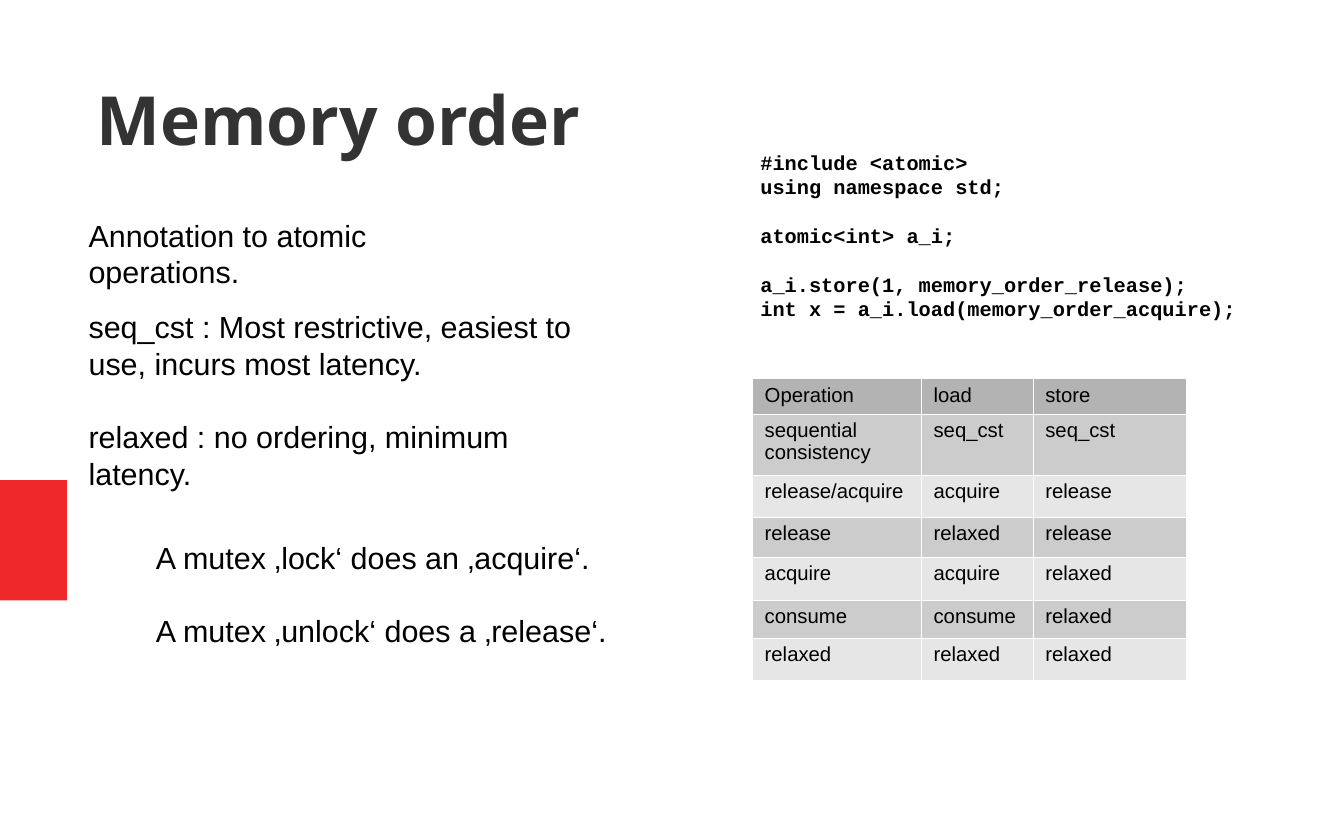
import dataclasses

import pptx
import pptx.dml.color
import pptx.enum.shapes
import pptx.enum.text
import pptx.oxml
import pptx.util

Pt = pptx.util.Pt


@dataclasses.dataclass(frozen=True)
class Theme:
    """Colours, fonts and type sizes of the slide."""
    accent: str = "EF2929"
    heading: str = "333333"
    ink: str = "000000"
    grid: str = "FFFFFF"
    header: str = "B3B3B3"
    bands: tuple = ("CCCCCC", "E6E6E6")
    title_font: str = "Open Sans"
    body_font: str = "Arial"
    code_font: str = "Courier New"
    title_size: float = 40
    body_size: float = 18
    small_size: float = 12
    leading: float = 1.2
    table_leading: float = 1.08
    grid_width: float = 0.06
    inset_x: float = 7.2
    inset_y: float = 3.6


def rgb(colour):
    """Turn a hex string into a colour."""
    return pptx.dml.color.RGBColor.from_string(colour)


class SlideBuilder:
    """Holds the theme and the current slide."""

    def __init__(self, slide, theme):
        """Keep the slide and its theme."""
        self.slide = slide
        self.theme = theme

    def styled_run(self, paragraph, text, font, size, colour, bold=False):
        """Add one styled run to a paragraph."""
        run = paragraph.add_run()
        run.text = text
        run.font.name = font
        run.font.size = Pt(size)
        run.font.bold = bold
        run.font.color.rgb = rgb(colour)

    def frame(self, left, top, width, height, inset_x, inset_y):
        """Add a wrapping text box and return its text frame."""
        frame = self.slide.shapes.add_textbox(
            Pt(left), Pt(top), Pt(width), Pt(height)).text_frame
        frame.word_wrap = True
        frame.margin_left = frame.margin_right = Pt(inset_x)
        frame.margin_top = frame.margin_bottom = Pt(inset_y)
        return frame

    def title(self, text, left, top, width, height):
        """Add the vertically centred heading."""
        theme = self.theme
        frame = self.frame(left, top, width, height, 0, 0)
        frame.vertical_anchor = pptx.enum.text.MSO_ANCHOR.MIDDLE
        self.styled_run(frame.paragraphs[0], text, theme.title_font,
                        theme.title_size, theme.heading, bold=True)

    def text(self, blocks, left, top, width, height, font, size, bold=False):
        """Add blocks of lines, with one line of space between blocks."""
        theme = self.theme
        line_height = Pt(size * theme.leading)
        frame = self.frame(left, top, width, height,
                           theme.inset_x, theme.inset_y)
        paragraph = None
        for block in blocks:
            for index, line in enumerate(block):
                opens_gap = paragraph is not None and index == 0
                paragraph = (frame.paragraphs[0] if paragraph is None
                             else frame.add_paragraph())
                paragraph.line_spacing = line_height
                paragraph.space_before = line_height if opens_gap else Pt(0)
                self.styled_run(paragraph, line, font, size, theme.ink, bold)

    def body(self, lines, left, top, width, height):
        """Add spaced body paragraphs."""
        self.text([[line] for line in lines], left, top, width, height,
                  self.theme.body_font, self.theme.body_size)

    def code(self, blocks, left, top, width, height):
        """Add a bold monospaced listing."""
        self.text(blocks, left, top, width, height,
                  self.theme.code_font, self.theme.small_size, bold=True)

    def bar(self, left, top, width, height):
        """Add a plain accent rectangle."""
        bar = self.slide.shapes.add_shape(
            pptx.enum.shapes.MSO_SHAPE.RECTANGLE,
            Pt(left), Pt(top), Pt(width), Pt(height))
        bar.shadow.inherit = False
        bar.fill.solid()
        bar.fill.fore_color.rgb = rgb(self.theme.accent)
        bar.line.fill.background()

    def borders(self, cell):
        """Draw thin grid lines on all sides of a cell."""
        properties = cell._tc.get_or_add_tcPr()
        for index, side in enumerate(("lnL", "lnR", "lnT", "lnB")):
            properties.insert(index, pptx.oxml.parse_xml(
                f'<a:{side} xmlns:a="http://schemas.openxmlformats.org/'
                f'drawingml/2006/main" w="{Pt(self.theme.grid_width)}">'
                f'<a:solidFill><a:srgbClr val="{self.theme.grid}"/>'
                f'</a:solidFill></a:{side}>'))

    def cell(self, cell, text, fill):
        """Fill one table cell with colour and text."""
        theme = self.theme
        cell.margin_left = cell.margin_right = Pt(theme.inset_x)
        cell.margin_top = cell.margin_bottom = Pt(theme.inset_y)
        cell.fill.solid()
        cell.fill.fore_color.rgb = rgb(fill)
        self.borders(cell)
        paragraph = cell.text_frame.paragraphs[0]
        paragraph.line_spacing = Pt(theme.small_size * theme.table_leading)
        self.styled_run(paragraph, text, theme.body_font,
                        theme.small_size, theme.ink)

    def table(self, rows, left, top, widths, heights):
        """Add a table with a header row and alternating bands."""
        table = self.slide.shapes.add_table(
            len(rows), len(widths), Pt(left), Pt(top),
            Pt(sum(widths)), Pt(sum(heights))).table
        for column, width in zip(table.columns, widths):
            column.width = Pt(width)
        for index, (row, height) in enumerate(zip(rows, heights)):
            table.rows[index].height = Pt(height)
            fill = (self.theme.bands[(index - 1) % 2] if index
                    else self.theme.header)
            for column, text in enumerate(row):
                self.cell(table.cell(index, column), text, fill)


def main():
    """Build and save the memory order slide."""
    presentation = pptx.Presentation()
    presentation.slide_width = Pt(793.5)
    presentation.slide_height = Pt(496)
    slide = presentation.slides.add_slide(presentation.slide_layouts[6])
    builder = SlideBuilder(slide, Theme())

    builder.bar(0, 283.5, 39.5, 71)
    builder.title("Memory order", 57, 22.5, 538.5, 94.5)

    builder.body(["seq_cst : Most restrictive, easiest to use, "
                  "incurs most latency.",
                  "relaxed : no ordering, minimum latency."],
                 45.2, 178.5, 317.5, 150.5)
    builder.body(["Annotation to atomic operations."], 45.2, 124.5, 272, 88)
    builder.body(["A mutex ‚lock‘ does an ‚acquire‘.",
                  "A mutex ‚unlock‘ does a ‚release‘."],
                 85, 314.5, 300, 88)

    orderings = [
        ("Operation", "load", "store"),
        ("sequential consistency", "seq_cst", "seq_cst"),
        ("release/acquire", "acquire", "release"),
        ("release", "relaxed", "release"),
        ("acquire", "acquire", "relaxed"),
        ("consume", "consume", "relaxed"),
        ("relaxed", "relaxed", "relaxed"),
    ]
    builder.table(orderings, 444.3, 223.5, (99.7, 66, 90),
                  (21, 36, 24.8, 23.6, 25.4, 22.4, 24.8))

    builder.code([["#include <atomic>", "using namespace std;"],
                  ["atomic<int> a_i;"],
                  ["a_i.store(1, memory_order_release);",
                   "int x = a_i.load(memory_order_acquire);"]],
                 441.8, 85, 306, 124)

    presentation.save("out.pptx")


main()
